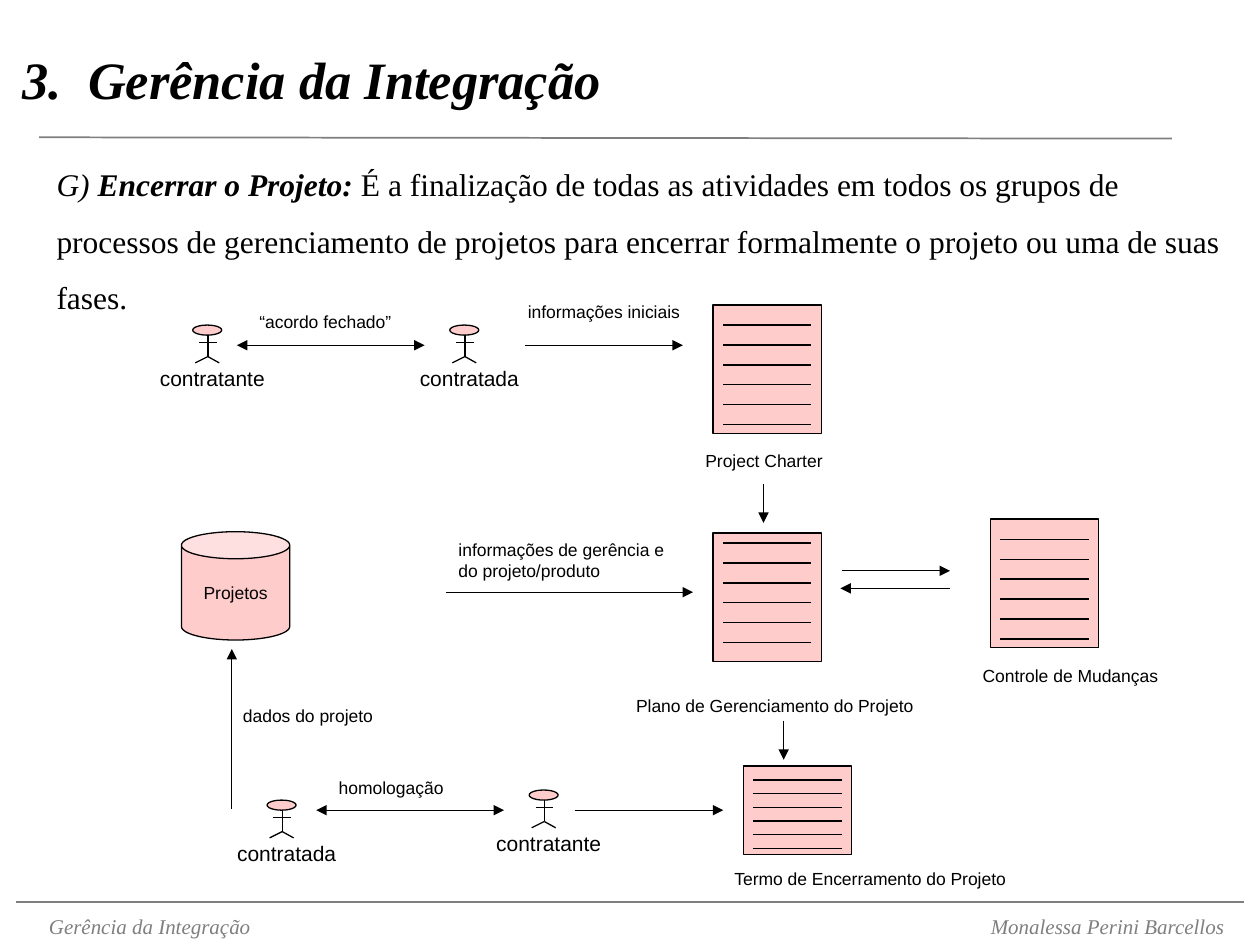
"""Slide on closing a project, drawn as a flow of people, documents and data."""
from lxml.etree import SubElement
from pptx import Presentation
from pptx.dml.color import RGBColor
from pptx.enum.shapes import MSO_CONNECTOR, MSO_SHAPE
from pptx.enum.text import MSO_ANCHOR, PP_ALIGN
from pptx.oxml.ns import qn
from pptx.util import Inches, Pt

BLACK, GREY, PINK = "000000", "7F7F7F", "FFCCCC"
SERIF, SANS = "Times New Roman", "Arial"

TITLE = "3.\tGerência da Integração"
FOOTER = "Gerência da Integração\tMonalessa Perini Barcellos"
BODY = [
    ("G) ", False, True),
    ("Encerrar o Projeto: ", True, True),
    ("É a finalização de todas as atividades em todos os grupos de processos de "
     "gerenciamento de projetos para encerrar formalmente o projeto ou uma de suas fases.",
     False, False),
]
RULES = [(0.31, 1.09, 9.3, 1.1, 1), (0.13, 7.16, 9.87, 7.16, 0.75)]
PEOPLE = [
    ("contratante", 1.53, 2.58), ("contratada", 3.57, 2.58),
    ("contratada", 2.12, 6.35), ("contratante", 4.2, 6.27),
]
DOCUMENTS = [
    (5.66, 2.42, 1.02, 0.16), (5.66, 4.23, 1.02, 0.08),
    (7.86, 4.12, 1.02, 0.16), (5.9, 6.08, 0.7, 0.11),
]
LABELS = [
    ("“acordo fechado”", 1.96, 2.42, 1.4),
    ("informações iniciais", 4.09, 2.34, 1.55),
    ("Project Charter", 5.5, 3.52, 1.2),
    ("informações de gerência e\ndo projeto/produto", 3.54, 4.23, 1.95),
    ("Controle de Mudanças", 7.7, 5.23, 1.7),
    ("Plano de Gerenciamento do Projeto", 4.95, 5.47, 2.5),
    ("dados do projeto", 1.83, 5.55, 1.3),
    ("homologação", 2.59, 6.12, 1.1),
    ("Termo de Encerramento do Projeto", 5.73, 6.84, 2.45),
]
ARROWS = [
    (4.17, 2.74, 5.42, 2.74), (6.06, 3.84, 6.06, 4.15), (3.54, 4.7, 5.5, 4.7),
    (6.68, 4.53, 7.54, 4.53), (7.54, 4.67, 6.67, 4.67), (6.22, 5.72, 6.22, 6.03),
    (4.56, 6.43, 5.74, 6.43), (1.84, 6.42, 1.84, 5.15),
]
TWO_WAY_ARROWS = [(1.88, 2.74, 3.37, 2.74), (2.51, 6.43, 4, 6.43)]

prs = Presentation()
prs.slide_width, prs.slide_height = Inches(10), Inches(7.5)
s = prs.slides.add_slide(prs.slide_layouts[6])


def rgb(color):
    return RGBColor.from_string(color)


def set_font(p, size, name=SANS, color=BLACK, bold=False, italic=False):
    f = p.font
    f.size, f.name, f.bold, f.italic = Pt(size), name, bold, italic
    f.color.rgb = rgb(color)


def add_tab(p, pos, align):
    tabs = SubElement(p._p.get_or_add_pPr(), qn("a:tabLst"))
    SubElement(tabs, qn("a:tab"), pos=str(Inches(pos)), algn=align)


def text_frame(x, y, w, h):
    tf = s.shapes.add_textbox(Inches(x), Inches(y), Inches(w), Inches(h)).text_frame
    tf.word_wrap = True
    return tf


def line(x1, y1, x2, y2, width=0.75, color=BLACK, ends=()):
    c = s.shapes.add_connector(MSO_CONNECTOR.STRAIGHT, *map(Inches, (x1, y1, x2, y2)))
    c.line.width, c.line.color.rgb = Pt(width), rgb(color)
    for end in ends:
        SubElement(c.line._get_or_add_ln(), qn(f"a:{end}"), type="triangle")
    SubElement(c._element.spPr, qn("a:effectLst"))


def shape(kind, x, y, w, h):
    sp = s.shapes.add_shape(kind, *map(Inches, (x, y, w, h)))
    sp.shadow.inherit = False
    sp.fill.solid()
    sp.fill.fore_color.rgb = rgb(PINK)
    sp.line.color.rgb, sp.line.width = rgb(BLACK), Pt(0.75)
    return sp


def person(name, x, y):
    shape(MSO_SHAPE.OVAL, x, y, 0.23, 0.08)
    mid, hip = x + 0.12, y + 0.25
    line(mid, y + 0.08, mid, hip)
    line(mid - 0.07, y + 0.14, mid + 0.07, y + 0.14)
    for foot in (-0.1, 0.09):
        line(mid, hip, mid + foot, y + 0.3)
    p = text_frame(x - 0.59, y + 0.27, 1.49, 0.3).paragraphs[0]
    p.text, p.alignment = name, PP_ALIGN.CENTER
    set_font(p, 12)


def document(x, y, h, first):
    shape(MSO_SHAPE.RECTANGLE, x, y, 0.86, h)
    gap = h * 0.155
    for i in range(6):
        row = y + first + i * gap
        line(x + 0.08, row, x + 0.78, row)


tf = text_frame(0.08, 0, 9.92, 1.25)
tf.vertical_anchor = MSO_ANCHOR.MIDDLE
p = tf.paragraphs[0]
p.text = TITLE
add_tab(p, 0.52, "l")
set_font(p, 30, SERIF, bold=True, italic=True)

p = text_frame(0.29, 7.2, 9.6, 0.3).paragraphs[0]
p.text = FOOTER
add_tab(p, 9.33, "r")
set_font(p, 12, SERIF, GREY, italic=True)

for x1, y1, x2, y2, width in RULES:
    line(x1, y1, x2, y2, width, GREY)

p = text_frame(0.35, 1.11, 9.65, 1.5).paragraphs[0]
p.line_spacing = 1.5
set_font(p, 18, SERIF)
for text, bold, italic in BODY:
    r = p.add_run()
    r.text, r.font.bold, r.font.italic = text, bold, italic

for item in DOCUMENTS:
    document(*item)
for item in PEOPLE:
    person(*item)

sp = shape(MSO_SHAPE.CAN, 1.44, 4.22, 0.86, 0.86)
tf = sp.text_frame
tf.word_wrap, tf.vertical_anchor = False, MSO_ANCHOR.MIDDLE
p = tf.paragraphs[0]
p.text, p.alignment = "Projetos", PP_ALIGN.CENTER
set_font(p, 10)

for ends in ARROWS:
    line(*ends, ends=("tailEnd",))
for ends in TWO_WAY_ARROWS:
    line(*ends, ends=("headEnd", "tailEnd"))

for text, x, y, w in LABELS:
    rows = text.split("\n")
    tf = text_frame(x, y, w, 0.1 + 0.17 * len(rows))
    tf.text = text
    for p in tf.paragraphs:
        set_font(p, 10)

prs.save("out.pptx")
